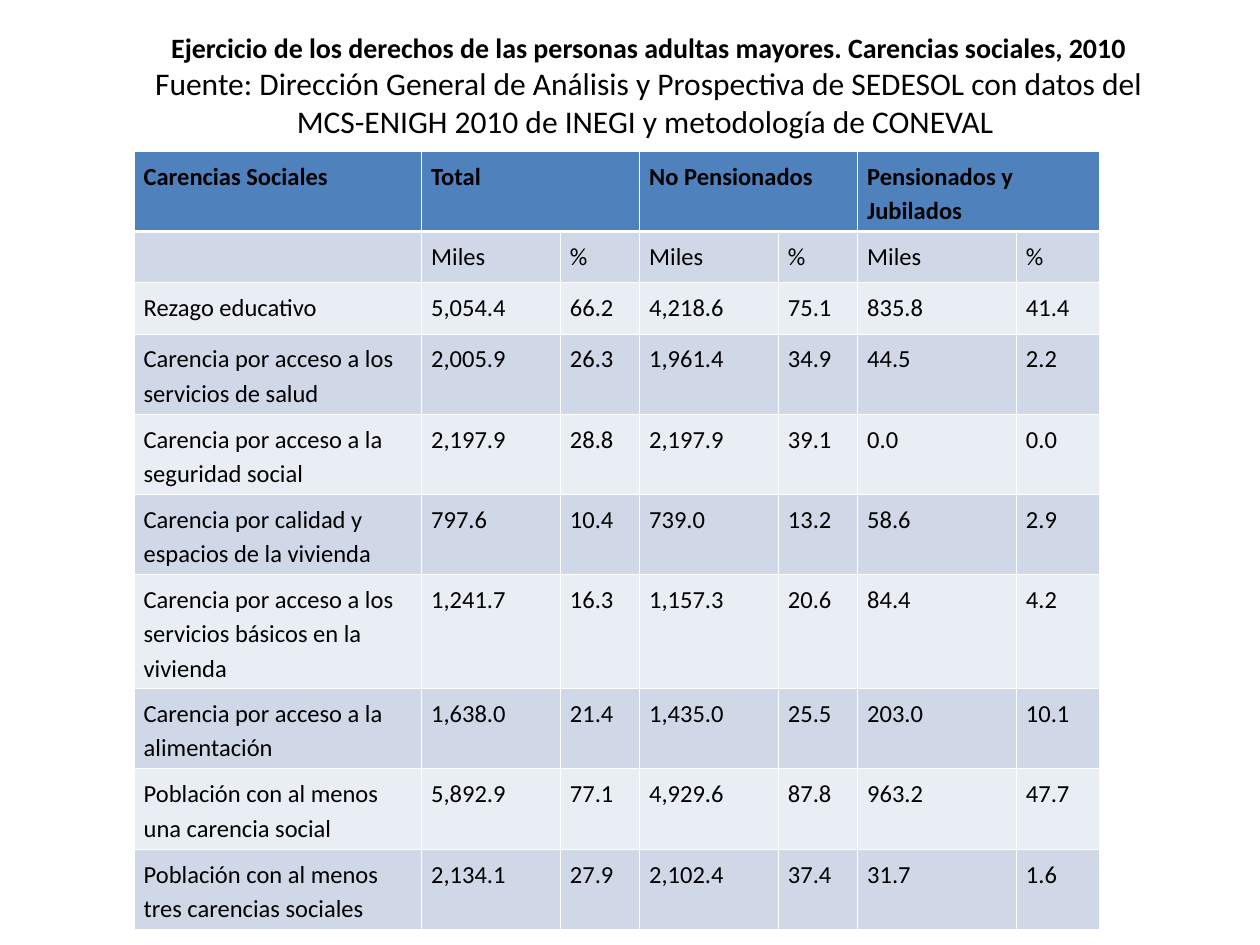
from dataclasses import dataclass

from lxml import etree
from pptx import Presentation
from pptx import util as u
from pptx.dml.color import RGBColor
from pptx.enum import text
from pptx.oxml import ns

BLACK = RGBColor(0x00, 0x00, 0x00)
WHITE = RGBColor(0xFF, 0xFF, 0xFF)
HEADER_BLUE = RGBColor(0x4F, 0x81, 0xBD)
BAND_DARK = RGBColor(0xD0, 0xD8, 0xE8)
BAND_LIGHT = RGBColor(0xE9, 0xED, 0xF4)
FONT = "Calibri"
THIN, THICK = u.Pt(0.45), u.Pt(1.47)


@dataclass(frozen=True)
class TitlePart:
    wording: str
    size: float
    bold: bool


@dataclass(frozen=True)
class Deprivation:
    label: str
    figures: str
    height: float = 39


TITLE = [
    TitlePart("Ejercicio de los derechos de las personas adultas mayores. "
              "Carencias sociales, 2010 ", 16, True),
    TitlePart("Fuente: Dirección General de Análisis y Prospectiva de SEDESOL con datos "
              "del MCS-ENIGH 2010 de INEGI y metodología de CONEVAL ", 18, False),
]
COLUMN_WIDTHS = [164.3, 79.3, 45.3, 79.3, 45.3, 90.7, 47.3]
GROUPS = ["Total", "No Pensionados", "Pensionados y Jubilados"]
DEPRIVATIONS = [
    Deprivation("Rezago educativo", "5,054.4 66.2 4,218.6 75.1 835.8 41.4", 29.3),
    Deprivation("Carencia por acceso a los servicios de salud",
                "2,005.9 26.3 1,961.4 34.9 44.5 2.2"),
    Deprivation("Carencia por acceso a la seguridad social",
                "2,197.9 28.8 2,197.9 39.1 0.0 0.0"),
    Deprivation("Carencia por calidad y espacios de la vivienda",
                "797.6 10.4 739.0 13.2 58.6 2.9"),
    Deprivation("Carencia por acceso a los servicios básicos en la vivienda",
                "1,241.7 16.3 1,157.3 20.6 84.4 4.2", 58.3),
    Deprivation("Carencia por acceso a la alimentación",
                "1,638.0 21.4 1,435.0 25.5 203.0 10.1"),
    Deprivation("Población con al menos una carencia social",
                "5,892.9 77.1 4,929.6 87.8 963.2 47.7"),
    Deprivation("Población con al menos tres carencias sociales",
                "2,134.1 27.9 2,102.4 37.4 31.7 1.6"),
]


def add_run(paragraph, wording: str, size: float, bold: bool) -> None:
    run = paragraph.add_run()
    run.text = wording
    run.font.name = FONT
    run.font.size = u.Pt(size)
    run.font.bold = bold
    run.font.color.rgb = BLACK


def add_border(cell, side: str, width: int) -> None:
    line = etree.SubElement(cell._tc.get_or_add_tcPr(), ns.qn(f"a:ln{side}"), w=str(width))
    fill = etree.SubElement(line, ns.qn("a:solidFill"))
    etree.SubElement(fill, ns.qn("a:srgbClr"), val=str(WHITE))


def fill_cell(cell, wording: str, row: int) -> None:
    cell.margin_left = cell.margin_right = u.Pt(5.6)
    cell.margin_top = cell.margin_bottom = u.Pt(3.6)
    for side in "LRTB":
        under_header = (row, side) in ((0, "B"), (1, "T"))
        add_border(cell, side, THICK if under_header else THIN)
    cell.fill.solid()
    cell.fill.fore_color.rgb = HEADER_BLUE if row == 0 else BAND_DARK if row % 2 else BAND_LIGHT
    if wording:
        paragraph = cell.text_frame.paragraphs[0]
        paragraph.line_spacing = 1.15
        add_run(paragraph, wording, 14, row == 0)


def add_title(slide) -> None:
    box = slide.shapes.add_textbox(u.Pt(64.8), u.Pt(20.2), u.Pt(612), u.Pt(56.9))
    frame = box.text_frame
    frame.word_wrap = True
    frame.vertical_anchor = text.MSO_ANCHOR.MIDDLE
    paragraph = frame.paragraphs[0]
    paragraph.alignment = text.PP_ALIGN.CENTER
    for part in TITLE:
        add_run(paragraph, part.wording, part.size, part.bold)


def add_deprivation_table(slide) -> None:
    header = ["Carencias Sociales"]
    for group in GROUPS:
        header += [group, ""]
    rows = [header, [""] + ["Miles", "%"] * len(GROUPS)]
    rows += [[item.label, *item.figures.split()] for item in DEPRIVATIONS]
    heights = [39, 29.3] + [item.height for item in DEPRIVATIONS]

    table = slide.shapes.add_table(
        len(rows), len(COLUMN_WIDTHS), u.Pt(76.5), u.Pt(86.4),
        u.Pt(sum(COLUMN_WIDTHS)), u.Pt(sum(heights))).table
    for column, width in zip(table.columns, COLUMN_WIDTHS):
        column.width = u.Pt(width)
    for row, (wordings, height) in enumerate(zip(rows, heights)):
        table.rows[row].height = u.Pt(height)
        for column, wording in enumerate(wordings):
            fill_cell(table.cell(row, column), wording, row)
    for first in range(1, len(COLUMN_WIDTHS), 2):
        table.cell(0, first).merge(table.cell(0, first + 1))


def main() -> None:
    deck = Presentation()
    deck.slide_width, deck.slide_height = u.Pt(720), u.Pt(540)
    slide = deck.slides.add_slide(deck.slide_layouts[6])
    add_title(slide)
    add_deprivation_table(slide)
    deck.save("out.pptx")


if __name__ == "__main__":
    main()
